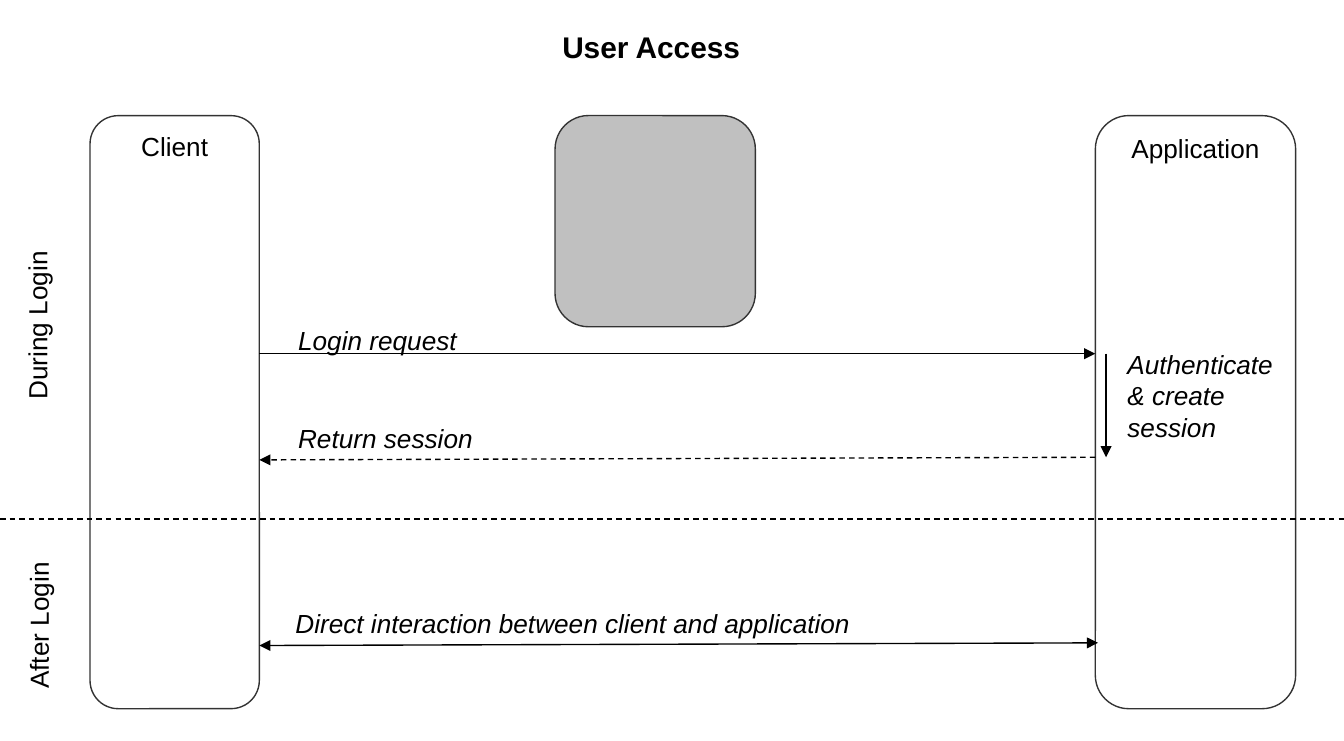
import pptx
import pptx.dml.color
import pptx.enum.dml
import pptx.enum.shapes
import pptx.enum.text
import pptx.oxml.ns
import pptx.util
from pptx.util import Inches

FONT = "Arial"
BLACK, WHITE, GREY, OUTLINE = "000000", "FFFFFF", "C0C0C0", "333333"
ALIGN = pptx.enum.text.PP_ALIGN
ANCHOR = pptx.enum.text.MSO_ANCHOR

# Shared layout, in inches
LANE_TOP, LANE_HEIGHT = 0.86, 4.41
CLIENT_LEFT, CLIENT_WIDTH = 0.67, 1.26
CLIENT_RIGHT = CLIENT_LEFT + CLIENT_WIDTH
APPLICATION_LEFT, APPLICATION_WIDTH = 8.15, 1.49
LABEL_HEIGHT = 0.34


def color(hex_string):
    return pptx.dml.color.RGBColor.from_string(hex_string)


def write_text(shape, text, size=14, bold=False, italic=False,
               align=ALIGN.LEFT, anchor=ANCHOR.TOP, wrap=False):
    frame = shape.text_frame
    frame.auto_size = pptx.enum.text.MSO_AUTO_SIZE.NONE
    frame.word_wrap = wrap
    frame.vertical_anchor = anchor
    frame.margin_left = frame.margin_right = Inches(0.1)
    frame.margin_top = frame.margin_bottom = Inches(0.05)
    frame.text = text
    for paragraph in frame.paragraphs:
        paragraph.alignment = align
        font = paragraph.font
        font.name, font.size = FONT, pptx.util.Pt(size)
        font.bold, font.italic = bold, italic
        font.color.rgb = color(BLACK)


def add_title(slide, text, left, top, width, height):
    title = slide.shapes.title
    title.left, title.top = Inches(left), Inches(top)
    title.width, title.height = Inches(width), Inches(height)
    write_text(title, text, size=16, bold=True, align=ALIGN.CENTER,
               anchor=ANCHOR.MIDDLE)


def add_rounded_box(slide, left, width, height, fill, text=None):
    box = slide.shapes.add_shape(
        pptx.enum.shapes.MSO_SHAPE.ROUNDED_RECTANGLE,
        Inches(left), Inches(LANE_TOP), Inches(width), Inches(height))
    box.shadow.inherit = False
    box.fill.solid()
    box.fill.fore_color.rgb = color(fill)
    box.line.color.rgb = color(OUTLINE)
    box.line.width = pptx.util.Pt(0.75)
    if text:
        write_text(box, text, align=ALIGN.CENTER)


def add_label(slide, text, left, top, width, height=LABEL_HEIGHT,
              rotation=0, **text_format):
    label = slide.shapes.add_textbox(
        Inches(left), Inches(top), Inches(width), Inches(height))
    label.rotation = rotation
    write_text(label, text, **text_format)


def add_line(slide, start, end, dashed=False, arrows=("tailEnd",)):
    connector = slide.shapes.add_connector(
        pptx.enum.shapes.MSO_CONNECTOR.STRAIGHT,
        *(Inches(value) for value in start + end))
    connector.line.color.rgb = color(BLACK)
    connector.line.width = pptx.util.Pt(0.75)
    if dashed:
        connector.line.dash_style = pptx.enum.dml.MSO_LINE.DASH
    # Arrowheads and an empty effect list, which removes the shadow
    properties = connector._element.spPr
    outline = connector.line._get_or_add_ln()
    for arrow in arrows:
        head = outline.makeelement(pptx.oxml.ns.qn("a:" + arrow),
                                   {"type": "triangle"})
        outline.append(head)
    properties.append(
        properties.makeelement(pptx.oxml.ns.qn("a:effectLst"), {}))


def main():
    presentation = pptx.Presentation()
    presentation.slide_width = Inches(10)
    presentation.slide_height = Inches(5.51)
    slide = presentation.slides.add_slide(presentation.slide_layouts[5])
    add_title(slide, "User Access", 4.08, 0.16, 1.53, 0.37)

    # Participants
    add_rounded_box(slide, 4.13, APPLICATION_WIDTH, 1.57, GREY)
    add_rounded_box(slide, APPLICATION_LEFT, APPLICATION_WIDTH, LANE_HEIGHT,
                    WHITE, "Application")
    add_rounded_box(slide, CLIENT_LEFT, CLIENT_WIDTH, LANE_HEIGHT,
                    WHITE, "Client")

    # Login exchange
    add_line(slide, (CLIENT_RIGHT, 2.63), (APPLICATION_LEFT, 2.63))
    add_label(slide, "Login request", 2.12, 2.36, 1.38, italic=True)
    add_line(slide, (8.23, 2.63), (8.23, 3.4))
    add_label(slide, "Authenticate & create\nsession", 8.29, 2.54, 1.44, 0.8,
              italic=True, wrap=True)
    add_line(slide, (APPLICATION_LEFT, 3.4), (CLIENT_RIGHT, 3.42), dashed=True)
    add_label(slide, "Return session", 2.12, 3.09, 1.94, italic=True, wrap=True)

    # Direct exchange after login
    add_line(slide, (CLIENT_RIGHT, 4.8), (8.17, 4.78),
             arrows=("headEnd", "tailEnd"))
    add_label(slide, "Direct interaction between client and application",
              2.1, 4.47, 4.33, italic=True)

    # Phases and their divider
    add_line(slide, (0, 3.86), (10, 3.86), dashed=True, arrows=())
    add_label(slide, "During Login", -0.37, 2.25, 1.3, rotation=270)
    add_label(slide, "After Login", -0.28, 4.48, 1.14, rotation=270)

    presentation.save("out.pptx")


if __name__ == "__main__":
    main()
